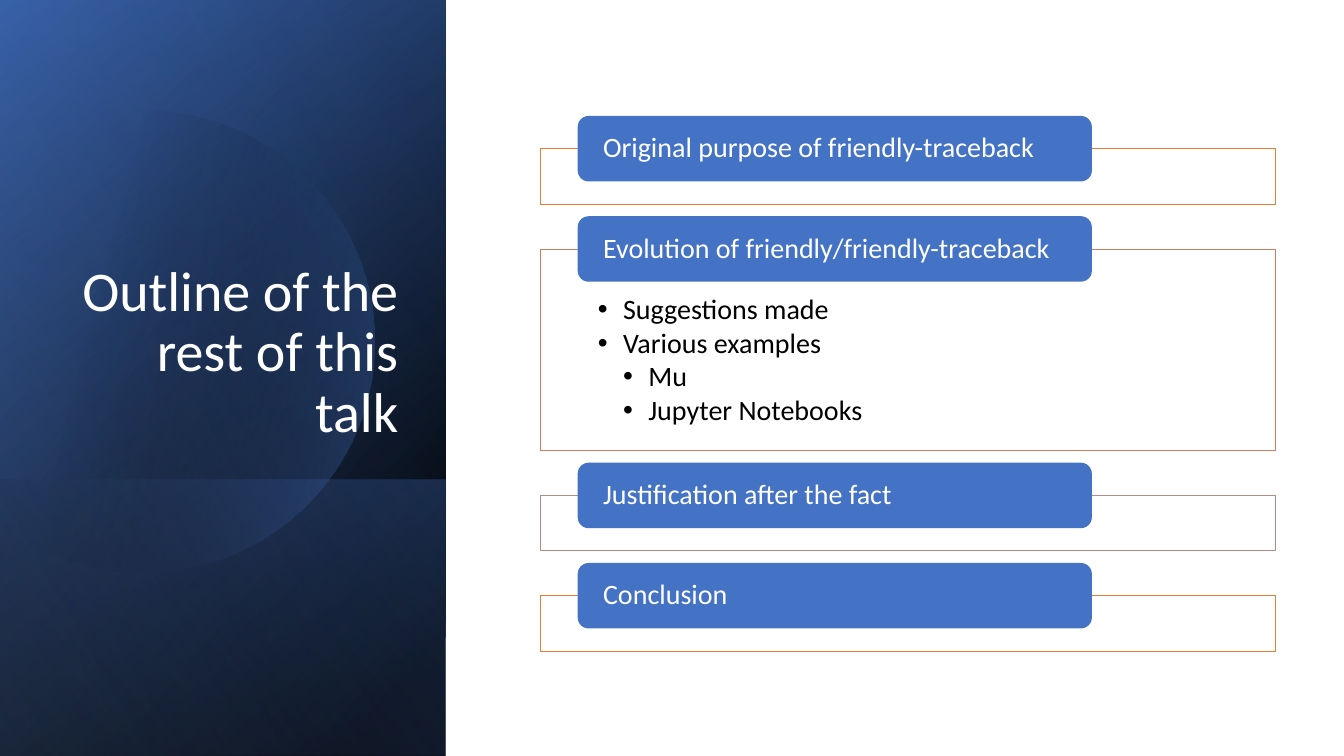
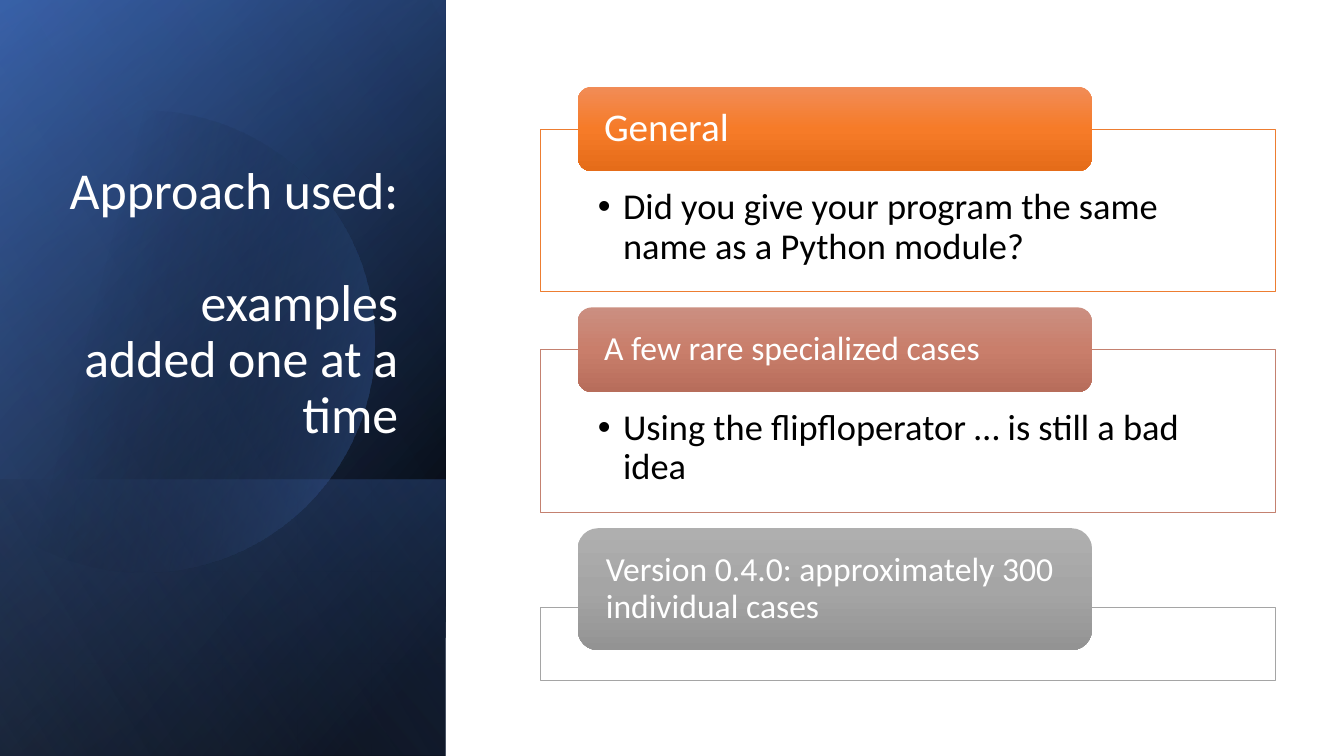
"""Build two outline slides with a dark gradient title panel and stacked cards."""
from dataclasses import dataclass
from math import acos, cos, sin

from pptx import Presentation
from pptx.dml.color import RGBColor
from pptx.enum.shapes import MSO_SHAPE
from pptx.enum.text import MSO_ANCHOR, MSO_AUTO_SIZE, PP_ALIGN
from pptx.oxml import parse_xml
from pptx.oxml.ns import nsdecls, qn
from pptx.util import Inches, Pt

RECTANGLE, ROUNDED = MSO_SHAPE.RECTANGLE, MSO_SHAPE.ROUNDED_RECTANGLE
TOP, MIDDLE, BOTTOM = MSO_ANCHOR.TOP, MSO_ANCHOR.MIDDLE, MSO_ANCHOR.BOTTOM
LEFT, RIGHT = PP_ALIGN.LEFT, PP_ALIGN.RIGHT


@dataclass(frozen=True)
class Theme:
    font: str = "Calibri"
    white: str = "FFFFFF"
    black: str = "000000"
    navy: str = "2F5597"
    blue: str = "4472C4"
    pale_blue: str = "8FAADC"
    orange: str = "ED7D31"
    copper: str = "D17B5C"
    clay: str = "C48170"
    rose: str = "B98A82"
    gray: str = "A5A5A5"
    orange_blend: tuple = ("F18C57", "F67B28", "E56C19")
    clay_blend: tuple = ("CB8F81", "C97E6B", "B76D5B")
    gray_blend: tuple = ("AFAFAF", "A5A5A5", "939393")
    small: int = 20
    medium: int = 24
    body: int = 26
    large: int = 28
    title_small: int = 37
    title_large: int = 40
    line_spacing: float = 0.9


THEME = Theme()

PANEL_WIDTH, PANEL_HEIGHT = 4.42, 7.5
BAND_TOP = 4.76
CIRCLE_X, CIRCLE_Y, CIRCLE_RADIUS, CIRCLE_STEPS = 1.42, 3.39, 2.29, 120
TITLE_TOP, TITLE_RIGHT, TITLE_HEIGHT = 1.84, 4.05, 2.62
FRAME_LEFT, FRAME_WIDTH = 5.36, 7.29
HEADER_LEFT, HEADER_WIDTH = 5.73, 5.1
HEADER_INSET, FRAME_INSET, BULLET_INDENT = 0.22, 0.57, 0.25

BASE_STOPS = [(8, THEME.black, 100), (100, THEME.navy, 100)]
GLOW_STOPS = [(0, THEME.black, 0), (99, THEME.blue, 46)]
BAND_STOPS = [(2, THEME.blue, 29), (100, THEME.black, 30)]
CIRCLE_STOPS = [(29, THEME.black, 0), (100, THEME.blue, 43)]
SHEEN_STOPS = [(0, THEME.black, 0), (99, THEME.pale_blue, 11)]

SLIDES = [
    {
        "title": [["Outline of the rest of this talk"]],
        "title_left": 0.64, "title_size": THEME.title_large,
        "top": 1.15, "gap": 0.12, "overlap": 0.325,
        "body_size": THEME.small, "body_top": 0.46,
        "cards": [
            {"header": "Original purpose of friendly-traceback", "size": THEME.small,
             "height": 0.65, "fill": THEME.blue, "border": THEME.orange,
             "frame": 0.55, "bullets": []},
            {"header": "Evolution of friendly/friendly-traceback", "size": THEME.small,
             "height": 0.65, "fill": THEME.blue, "border": THEME.copper,
             "frame": 2, "bullets": [(1, "Suggestions made"), (1, "Various examples"),
                                     (2, "Mu"), (2, "Jupyter Notebooks")]},
            {"header": "Justification after the fact", "size": THEME.small,
             "height": 0.65, "fill": THEME.blue, "border": THEME.rose,
             "frame": 0.55, "bullets": []},
            {"header": "Conclusion", "size": THEME.small,
             "height": 0.65, "fill": THEME.blue, "border": THEME.orange,
             "frame": 0.55, "bullets": []},
        ],
    },
    {
        "title": [["Approach used:"], ["examples", "added one at a time"]],
        "title_left": 0.36, "title_size": THEME.title_small,
        "top": 0.86, "gap": 0.16, "overlap": 0.42,
        "body_size": THEME.body, "body_top": 0.59,
        "cards": [
            {"header": "General", "size": THEME.large,
             "height": 0.84, "fill": THEME.orange_blend, "border": THEME.orange,
             "frame": 1.61, "bullets": [
                 (1, "Did you give your program the same name as a Python module?")]},
            {"header": "A few rare specialized cases", "size": THEME.medium,
             "height": 0.84, "fill": THEME.clay_blend, "border": THEME.clay,
             "frame": 1.61, "bullets": [
                 (1, "Using the flipfloperator … is still a bad idea")]},
            {"header": "Version 0.4.0: approximately 300 individual cases",
             "size": THEME.medium, "height": 1.21, "fill": THEME.gray_blend,
             "border": THEME.gray, "frame": 0.72, "bullets": []},
        ],
    },
]


def fill_solid(shape, color):
    shape.fill.solid()
    shape.fill.fore_color.rgb = RGBColor.from_string(color)


def fill_gradient(shape, stops, angle):
    stop_xml = "".join(
        f'<a:gs pos="{position * 1000}"><a:srgbClr val="{color}">'
        f'<a:alpha val="{alpha * 1000}"/></a:srgbClr></a:gs>'
        for position, color, alpha in stops)
    gradient = parse_xml(
        f'<a:gradFill {nsdecls("a")} rotWithShape="1"><a:gsLst>{stop_xml}</a:gsLst>'
        f'<a:lin ang="{angle * 60000}" scaled="0"/></a:gradFill>')
    shape.fill.solid()
    properties = shape.element.spPr
    properties.replace(properties.find(qn("a:solidFill")), gradient)


def make_plain(shape):
    shape.shadow.inherit = False
    shape.line.fill.background()
    return shape


def add_box(slide, kind, left, top, width, height):
    return make_plain(slide.shapes.add_shape(
        kind, Inches(left), Inches(top), Inches(width), Inches(height)))


def set_frame(shape, anchor, horizontal, top=0):
    frame = shape.text_frame
    frame.word_wrap = True
    frame.auto_size = MSO_AUTO_SIZE.NONE
    frame.vertical_anchor = anchor
    frame.margin_left = frame.margin_right = Inches(horizontal)
    frame.margin_top, frame.margin_bottom = Inches(top), 0
    return frame


def get_paragraph(frame, index):
    return frame.add_paragraph() if index else frame.paragraphs[0]


def write_paragraph(paragraph, lines, size, color, alignment=LEFT):
    paragraph.alignment = alignment
    paragraph.line_spacing = THEME.line_spacing
    for index, line in enumerate(lines):
        if index:
            paragraph.add_line_break()
        run = paragraph.add_run()
        run.text = line
        run.font.name = THEME.font
        run.font.size = Pt(size)
        run.font.color.rgb = RGBColor.from_string(color)


def add_bullet(paragraph, level):
    properties = paragraph._p.get_or_add_pPr()
    properties.set("marL", str(Inches(BULLET_INDENT * level)))
    properties.set("indent", str(-Inches(BULLET_INDENT)))
    properties.append(parse_xml(f'<a:buFont {nsdecls("a")} typeface="Arial"/>'))
    properties.append(parse_xml(f'<a:buChar {nsdecls("a")} char="•"/>'))


def add_circle(slide):
    limit = acos(-CIRCLE_X / CIRCLE_RADIUS)
    angles = [limit * (2 * step / CIRCLE_STEPS - 1) for step in range(CIRCLE_STEPS + 1)]
    points = [(Inches(CIRCLE_X + CIRCLE_RADIUS * cos(angle)),
               Inches(CIRCLE_Y + CIRCLE_RADIUS * sin(angle))) for angle in angles]
    builder = slide.shapes.build_freeform(*points[0])
    builder.add_line_segments(points[1:], close=True)
    fill_gradient(make_plain(builder.convert_to_shape()), CIRCLE_STOPS, 14)


def add_layer(slide, top, stops, angle):
    layer = add_box(slide, RECTANGLE, 0, top, PANEL_WIDTH, PANEL_HEIGHT - top)
    fill_gradient(layer, stops, angle)


def add_panel(slide):
    add_layer(slide, 0, BASE_STOPS, 220)
    add_layer(slide, 0, GLOW_STOPS, 240)
    add_layer(slide, BAND_TOP, BAND_STOPS, 140)
    add_circle(slide)
    add_layer(slide, 0, SHEEN_STOPS, 150)


def add_title(slide, content):
    title = slide.shapes.title
    left, size = content["title_left"], content["title_size"]
    title.left, title.top = Inches(left), Inches(TITLE_TOP)
    title.width, title.height = Inches(TITLE_RIGHT - left), Inches(TITLE_HEIGHT)
    frame = set_frame(title, BOTTOM, 0.1, 0.05)
    frame.margin_bottom = Inches(0.05)
    for index, lines in enumerate(content["title"]):
        paragraph = get_paragraph(frame, index)
        paragraph.space_before = Pt(40 if index else 0)
        write_paragraph(paragraph, lines, size, THEME.white, RIGHT)
    tree = slide.shapes._spTree
    tree.append(title.element)


def add_cards(slide, content):
    top = content["top"]
    for card in content["cards"]:
        frame_top = top + card["height"] - content["overlap"]
        box = add_box(slide, RECTANGLE, FRAME_LEFT, frame_top, FRAME_WIDTH, card["frame"])
        fill_solid(box, THEME.white)
        box.line.color.rgb = RGBColor.from_string(card["border"])
        box.line.width = Pt(0.5)
        if card["bullets"]:
            frame = set_frame(box, TOP, FRAME_INSET, content["body_top"])
            for index, (level, text) in enumerate(card["bullets"]):
                paragraph = get_paragraph(frame, index)
                add_bullet(paragraph, level)
                paragraph.space_after = Pt(2.5)
                write_paragraph(paragraph, [text], content["body_size"], THEME.black)

        header = add_box(slide, ROUNDED, HEADER_LEFT, top, HEADER_WIDTH, card["height"])
        if isinstance(card["fill"], str):
            fill_solid(header, card["fill"])
        else:
            stops = [(50 * index, color, 100) for index, color in enumerate(card["fill"])]
            fill_gradient(header, stops, 90)
        frame = set_frame(header, MIDDLE, HEADER_INSET)
        write_paragraph(frame.paragraphs[0], [card["header"]], card["size"], THEME.white)
        top = frame_top + card["frame"] + content["gap"]


def main():
    presentation = Presentation()
    presentation.slide_width, presentation.slide_height = Inches(13.33), Inches(7.5)
    title_only = presentation.slide_layouts[5]
    for content in SLIDES:
        slide = presentation.slides.add_slide(title_only)
        add_panel(slide)
        add_title(slide, content)
        add_cards(slide, content)
    presentation.save("out.pptx")


if __name__ == "__main__":
    main()
